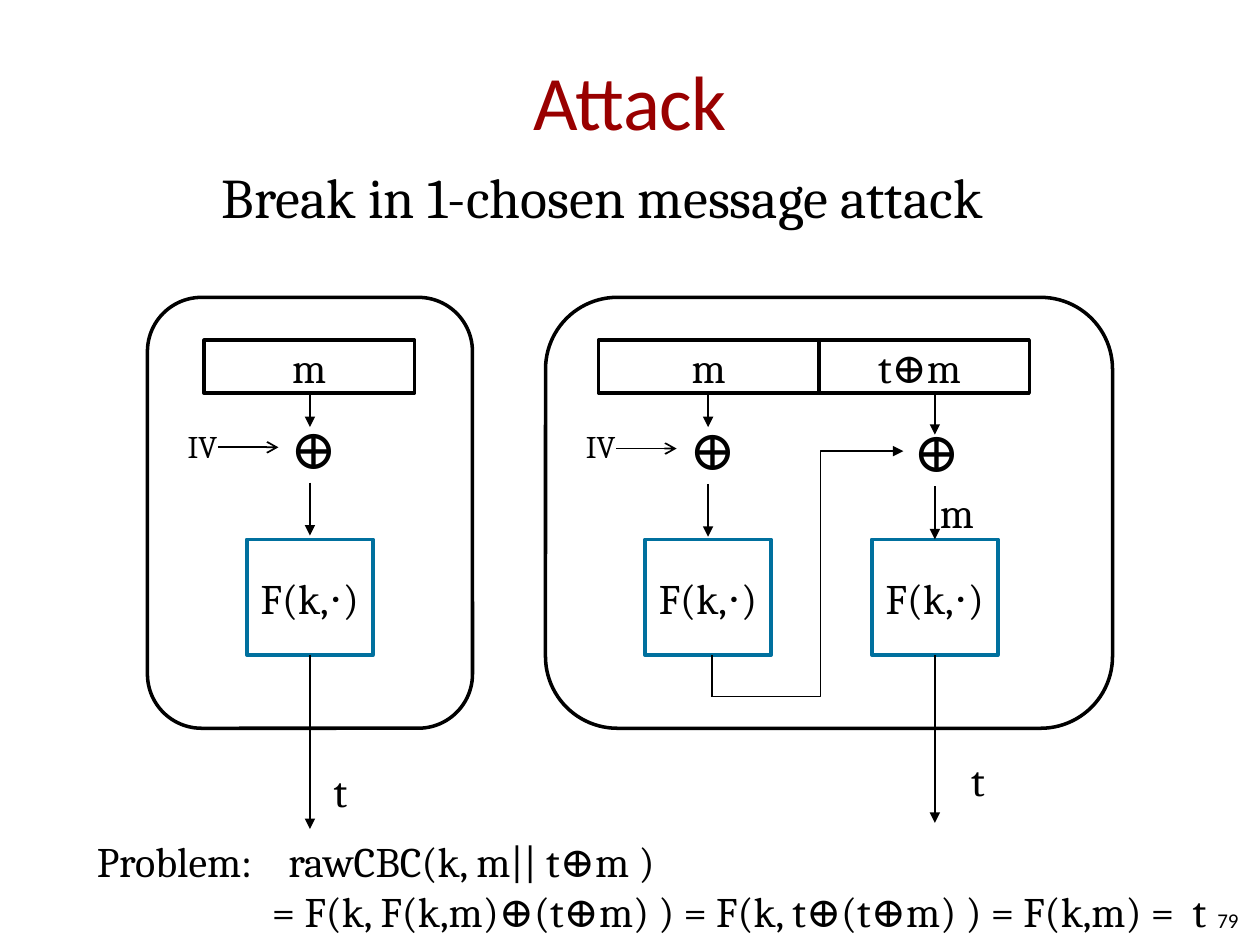
import pptx
import pptx.util
import pptx.dml.color
import pptx.enum.shapes
import pptx.enum.text
import pptx.oxml.ns
from lxml import etree

Pt = pptx.util.Pt
RGBColor = pptx.dml.color.RGBColor
MSO_SHAPE = pptx.enum.shapes.MSO_SHAPE
PP_ALIGN = pptx.enum.text.PP_ALIGN
MSO_ANCHOR = pptx.enum.text.MSO_ANCHOR
qn = pptx.oxml.ns.qn

PX = 9144  # 100 px to the inch
BLACK = RGBColor(0x00, 0x00, 0x00)
WHITE = RGBColor(0xFF, 0xFF, 0xFF)
RED = RGBColor(0x99, 0x00, 0x00)
BLUE = RGBColor(0x00, 0x70, 0x9E)

prs = pptx.Presentation()
prs.slide_width, prs.slide_height = 1000 * PX, 750 * PX
s = prs.slides.add_slide(prs.slide_layouts[5])
shapes = s.shapes


def add_text(text, x, y, w, h, size=24, font="Cambria", inset=10, wrap=False,
             align=PP_ALIGN.LEFT, anchor=MSO_ANCHOR.TOP, color=BLACK, sp=None):
    """Write text into sp, or into a new text box, placed at x, y, w, h."""
    sp = sp or shapes.add_textbox(0, 0, 0, 0)
    sp.left, sp.top, sp.width, sp.height = x * PX, y * PX, w * PX, h * PX
    tf = sp.text_frame
    tf.word_wrap = wrap
    tf.vertical_anchor = anchor
    tf.margin_left = tf.margin_right = inset * PX
    tf.margin_top = tf.margin_bottom = inset * PX // 2
    tf.text = text
    for p in tf.paragraphs:
        p.alignment = align
        for r in p.runs:
            r.font.size, r.font.name = Pt(size), font
            r.font.color.rgb = color
    return sp


def add_line(x1, y1, x2, y2, width=0.75, head="triangle"):
    cx = shapes.add_connector(pptx.enum.shapes.MSO_CONNECTOR.STRAIGHT,
                              x1 * PX, y1 * PX, x2 * PX, y2 * PX)
    cx.line.color.rgb, cx.line.width = BLACK, Pt(width)
    if head:
        etree.SubElement(cx.line._get_or_add_ln(), qn("a:tailEnd"), type=head)
    etree.SubElement(cx._element.spPr, qn("a:effectLst"))


# Headings
title = add_text("Attack", 50, 17, 900, 125, size=44, font="Calibri", inset=0, wrap=True,
                 align=PP_ALIGN.CENTER, anchor=MSO_ANCHOR.MIDDLE, color=RED,
                 sp=shapes.title)
title.text_frame.paragraphs[0].runs[0].font._element.set("spc", "-50")
add_text("Break in 1-chosen message attack", 176, 129, 648, 54, size=32, inset=0)

# Frames, message blocks and cipher blocks
ROUND, RECT = MSO_SHAPE.ROUNDED_RECTANGLE, MSO_SHAPE.RECTANGLE
boxes = [
    (ROUND, "", 117, 236, 258, 342, BLACK),
    (ROUND, "", 433, 236, 450, 342, BLACK),
    (RECT, "m", 162, 270, 167, 42, BLACK),
    (RECT, "m", 475, 270, 175, 42, BLACK),
    (RECT, "t⊕m ", 650, 270, 167, 42, BLACK),
]
boxes += [(RECT, "F(k,⋅)", x, 428, 100, 92, BLUE) for x in (196, 512, 692)]
for kind, text, x, y, w, h, color in boxes:
    sp = shapes.add_shape(kind, x * PX, y * PX, w * PX, h * PX)
    sp.shadow.inherit = False
    sp.fill.solid()
    sp.fill.fore_color.rgb = WHITE
    sp.line.color.rgb, sp.line.width = color, Pt(2)
    if text:
        add_text(text, x, y, w, h, align=PP_ALIGN.CENTER,
                 anchor=MSO_ANCHOR.MIDDLE, sp=sp)

# XOR steps: centre, symbol position, end of upper arrow, lower arrow
for cx, xor_x, xor_y, upper_end, lower_start, lower_end in (
        (246, 221, 323, 339, 383, 425),
        (562, 537, 324, 339, 384, 426),
        (742, 715, 326, 345, 386, 428)):
    add_text("⊕", xor_x, xor_y, 55, 64, size=32)
    add_line(cx, 312, cx, upper_end)
    add_line(cx, lower_start, cx, lower_end)

# Initial vectors
for x, y in ((149, 355), (465, 356)):
    add_text("IV", x, 339, 24, 30, size=18, inset=0)
    add_line(x + 24, y, x + 72, y, width=1, head="arrow")

# Chaining from the first cipher block into the second XOR
add_line(565, 520, 565, 553, head=None)
fb = shapes.build_freeform(564, 553, scale=PX)
fb.add_line_segments([(651, 553), (651, 358), (717, 358)], close=False)
chain = fb.convert_to_shape()
chain.shadow.inherit = False
chain.fill.background()
chain.line.color.rgb, chain.line.width = BLACK, Pt(0.75)
etree.SubElement(chain.line._get_or_add_ln(), qn("a:tailEnd"), type="triangle")
add_text("m", 746, 386, 28, 40, inset=0)

# Tags
add_line(246, 520, 246, 658)
add_line(742, 520, 742, 653)
add_text("t", 255, 603, 32, 50)
add_text("t", 761, 594, 32, 50)

# Equation, aligned by a tab stop and an indent
sp = add_text("Problem:\trawCBC(k, m|| t⊕m )\n"
              "= F(k, F(k,m)⊕(t⊕m) ) = F(k, t⊕(t⊕m) ) = F(k,m) =  t",
              67, 658, 915, 91, wrap=True)
first, second = sp.text_frame.paragraphs
tabs = etree.SubElement(first._p.get_or_add_pPr(), qn("a:tabLst"))
etree.SubElement(tabs, qn("a:tab"), pos=str(152 * PX), algn="l")
second._p.get_or_add_pPr().set("marL", str(139 * PX))
second._p.get_or_add_pPr().set("indent", "0")

add_text("79", 750, 710, 233, 40, size=12, font="Calibri", inset=0, wrap=True,
         align=PP_ALIGN.RIGHT, anchor=MSO_ANCHOR.MIDDLE)

prs.save("out.pptx")
